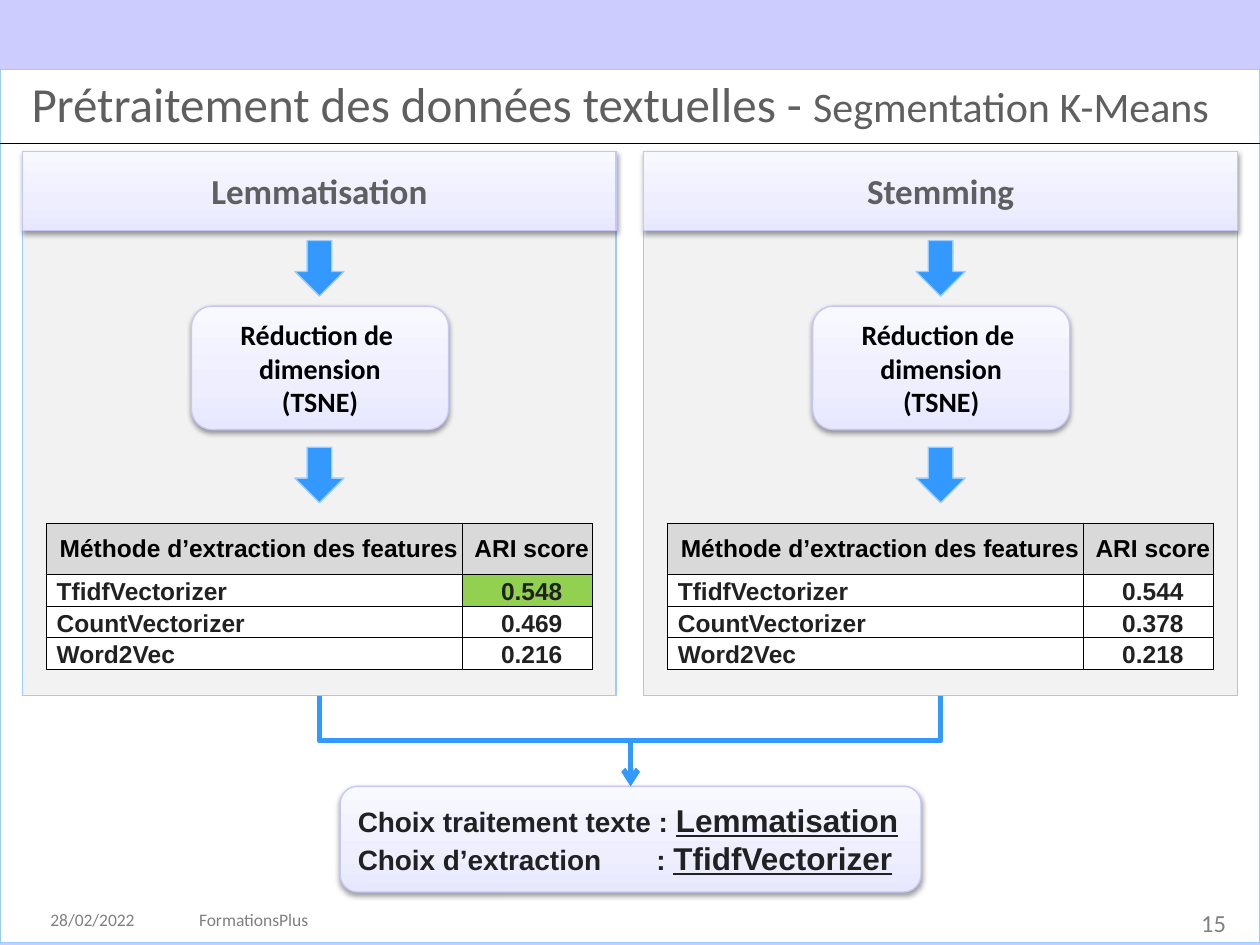
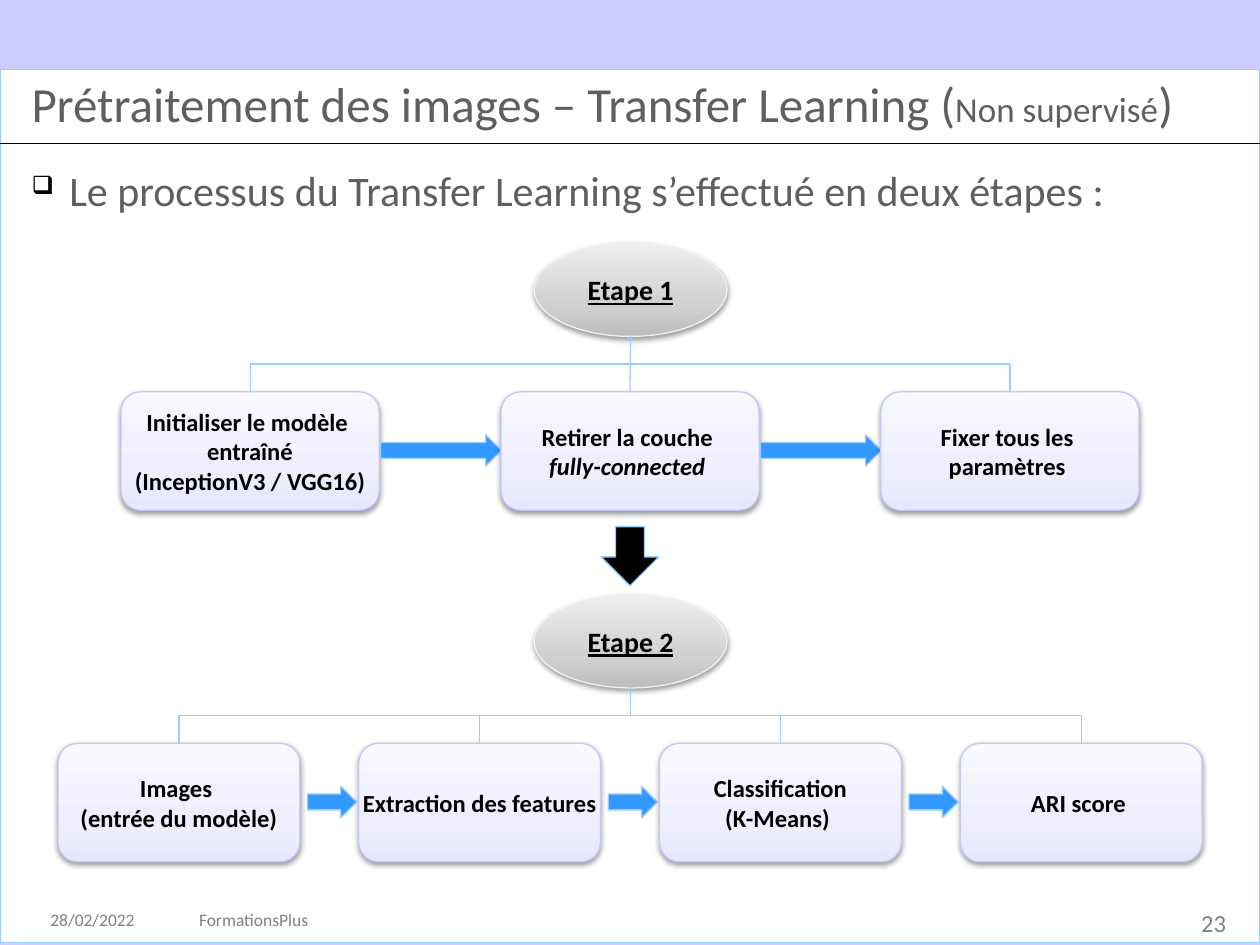
from copy import deepcopy

from lxml import etree
from pptx import Presentation
from pptx.dml.color import RGBColor
from pptx.enum.shapes import MSO_CONNECTOR as Link, MSO_SHAPE as Kind
from pptx.enum.text import MSO_ANCHOR as Anchor, PP_ALIGN as Align
from pptx.oxml.ns import qn
from pptx.util import Inches, Pt

COLORS = {
    "background": "CCCCFF", "white": "FFFFFF", "black": "000000",
    "blue": "3399FF", "light_blue": "99CCFF", "lavender": "C6C6FB",
    "panel": "F2F2F2", "header": "D9D9D9", "best": "92D050",
    "heading": "5F5F5F", "footer": "808080", "ink": "212121",
}
RGB = {name: RGBColor.from_string(value) for name, value in COLORS.items()}
LAVENDER_FADE = ("E7E7FF", "EEEEFF", "F8F8FF")
GREY_FADE = ("BDBDBD", "D1D1D1", "EEEEEE")


def write_text(shape, lines, size, color, font="Calibri", bold=False,
               align=Align.CENTER, anchor=Anchor.MIDDLE, wrap=False):
    """Fill a shape or cell; a line is a string or a list of (text, size) runs."""
    frame = shape.text_frame
    frame.word_wrap = wrap
    frame.vertical_anchor = anchor
    for index, line in enumerate(lines):
        paragraph = frame.add_paragraph() if index else frame.paragraphs[0]
        paragraph.alignment = align
        pieces = [(line, size)] if isinstance(line, str) else line
        for text, run_size in pieces:
            run = paragraph.add_run()
            run.text = text
            run.font.name = font
            run.font.size = Pt(run_size)
            run.font.bold = bold
            run.font.color.rgb = RGB[color]
    return frame


def add_block(slide, kind, box, fill, line):
    """Add a preset shape; a tuple as fill gives a gradient with a soft shadow."""
    shape = slide.shapes.add_shape(kind, *map(Inches, box))
    shape.shadow.inherit = False
    if isinstance(fill, tuple):
        shape.fill.gradient()
        shape.fill.gradient_angle = 90
        properties = shape._element.spPr
        stop_list = properties.find(".//" + qn("a:gsLst"))
        stop_list.append(deepcopy(stop_list[-1]))
        for stop, position, value in zip(shape.fill.gradient_stops, (0, 0.35, 1), fill):
            stop.position = position
            stop.color.rgb = RGBColor.from_string(value)
        shadow = etree.SubElement(properties.find(qn("a:effectLst")), qn("a:outerShdw"),
                                  blurRad="40000", dist="20000", dir="5400000", rotWithShape="0")
        shade = etree.SubElement(shadow, qn("a:srgbClr"), val=COLORS["black"])
        etree.SubElement(shade, qn("a:alpha"), val="38000")
    else:
        shape.fill.solid()
        shape.fill.fore_color.rgb = RGB[fill]
    shape.line.color.rgb = RGB[line]
    shape.line.width = Pt(0.75)
    return shape


presentation = Presentation()
presentation.slide_width = Inches(10)
presentation.slide_height = Inches(7.5)

# Shared frame: page, title, rule and footers
titles = [
    ([("Prétraitement des données textuelles - ", 28), ("Segmentation K-Means", 24)], "15"),
    ([("Prétraitement des images – Transfer Learning (", 28), ("Non supervisé", 20), (")", 28)], "23"),
]
slides = []
connectors = []
for title, number in titles:
    slide = presentation.slides.add_slide(presentation.slide_layouts[6])
    slides.append(slide)
    slide.background.fill.solid()
    slide.background.fill.fore_color.rgb = RGB["background"]
    add_block(slide, Kind.RECTANGLE, (0, 0.55, 10, 6.93), "white", "light_blue")
    rule = slide.shapes.add_connector(Link.STRAIGHT, 0, Inches(1.14), Inches(10), Inches(1.14))
    connectors.append((rule, "black", 0.75))

    texts = [
        ((0.25, 0.67, 9.75, 0.38), title, 28, "heading", Align.LEFT, Anchor.BOTTOM, 0.8),
        ((0.4, 7.23, 0.68, 0.15), "28/02/2022", 10, "footer", Align.LEFT, Anchor.TOP, 0.9),
        ((1.58, 7.23, 1.02, 0.15), "FormationsPlus", 10, "footer", Align.LEFT, Anchor.TOP, 0.9),
        ((9.38, 7.23, 0.35, 0.21), number, 14, "footer", Align.RIGHT, Anchor.TOP, 0.9),
    ]
    if slide is slides[-1] and number == "23":
        texts.append(((0.25, 1.38, 9.55, 0.33),
                      "Le processus du Transfer Learning s’effectué en deux étapes :",
                      24, "heading", Align.LEFT, Anchor.TOP, 0.8))
    for box, line, size, color, align, anchor, spacing in texts:
        text_box = slide.shapes.add_textbox(*map(Inches, box))
        frame = write_text(text_box, [line], size, color, align=align, anchor=anchor, wrap=True)
        frame.margin_left = frame.margin_right = frame.margin_top = frame.margin_bottom = 0
        frame.paragraphs[0].line_spacing = spacing

text_slide, image_slide = slides

# Square bullet of the introduction, the last text written
bullet = frame.paragraphs[0]._p.get_or_add_pPr()
bullet.set("marL", str(Inches(0.3)))
bullet.set("indent", str(Inches(-0.3)))
bullet_color = etree.SubElement(bullet, qn("a:buClr"))
etree.SubElement(bullet_color, qn("a:srgbClr"), val=COLORS["black"])
etree.SubElement(bullet, qn("a:buSzPct"), val="60000")
etree.SubElement(bullet, qn("a:buChar"), char="❑")

# Text slide: one panel for each treatment
links = []
panels = []
methods = ("TfidfVectorizer", "CountVectorizer", "Word2Vec")
treatments = [("Lemmatisation", ("0.548", "0.469", "0.216")),
              ("Stemming", ("0.544", "0.378", "0.218"))]
for index, (treatment, scores) in enumerate(treatments):
    left = 0.18 + 4.93 * index
    panels.append(add_block(text_slide, Kind.RECTANGLE, (left, 1.2, 4.71, 4.32), "panel", "light_blue"))
    heading = add_block(text_slide, Kind.RECTANGLE, (left, 1.2, 4.71, 0.63), LAVENDER_FADE, "lavender")
    write_text(heading, [treatment], 20, "heading", bold=True)
    for top in (1.91, 3.55):
        add_block(text_slide, Kind.DOWN_ARROW, (left + 2.16, top, 0.39, 0.44), "blue", "light_blue")
    reduction = add_block(text_slide, Kind.ROUNDED_RECTANGLE, (left + 1.34, 2.43, 2.04, 0.98),
                          LAVENDER_FADE, "lavender")
    write_text(reduction, ["Réduction de ", "dimension", "(TSNE)"], 16, "black", bold=True)

    # Score table
    rows = [("Méthode d’extraction des features", "ARI score"), *zip(methods, scores)]
    table = text_slide.shapes.add_table(4, 2, Inches(left + 0.19), Inches(4.15),
                                        Inches(4.33), Inches(1.16)).table
    for column, width in zip(table.columns, (3.3, 1.03)):
        column.width = Inches(width)
    for row_index, row in enumerate(rows):
        is_header = row_index == 0
        table.rows[row_index].height = Inches(0.41 if is_header else 0.25)
        for column_index, value in enumerate(row):
            cell = table.cell(row_index, column_index)
            cell.margin_left = Inches(0.08)
            cell.margin_right = cell.margin_top = Inches(0.01)
            cell.margin_bottom = 0
            write_text(cell, [value], 14, "black" if is_header else "ink", "Arial", True,
                       Align.CENTER if is_header or column_index else Align.LEFT)
            cell.vertical_anchor = Anchor.MIDDLE if is_header else Anchor.BOTTOM
            for side in ("a:lnL", "a:lnR", "a:lnT", "a:lnB"):
                border = etree.SubElement(cell._tc.get_or_add_tcPr(), qn(side), w=str(Pt(0.5)))
                border_fill = etree.SubElement(border, qn("a:solidFill"))
                etree.SubElement(border_fill, qn("a:srgbClr"), val=COLORS["black"])
            cell.fill.solid()
            shade = "header" if is_header else "best" if value == "0.548" else "white"
            cell.fill.fore_color.rgb = RGB[shade]

# Text slide: conclusion
choice = add_block(text_slide, Kind.ROUNDED_RECTANGLE, (2.7, 6.24, 4.61, 0.84), LAVENDER_FADE, "lavender")
frame = write_text(choice, [[("Choix traitement texte : ", 16), ("Lemmatisation", 18)],
                            [("Choix d’extraction\t: ", 16), ("TfidfVectorizer", 18)]],
                   16, "ink", "Arial", True, Align.LEFT)
for paragraph in frame.paragraphs:
    paragraph.runs[1].font.underline = True
tab_list = etree.SubElement(frame.paragraphs[1]._p.get_or_add_pPr(), qn("a:tabLst"))
etree.SubElement(tab_list, qn("a:tab"), pos=str(Inches(2.37)), algn="l")
for panel in panels:
    links.append((text_slide, panel, choice, "blue", 3))

# Image slide: two steps, each an ellipse above a row of boxes
steps = [
    ("Etape 1", 1.93, 0.96, 3.015, 2.05, 0.01, 0.96,
     [["Initialiser le modèle ", "entraîné", "(InceptionV3 / VGG16)"],
      ["Retirer la couche ", "fully-connected "],
      ["Fixer tous les ", "paramètres "]]),
    ("Etape 2", 4.72, 0.46, 2.387, 1.92, 0.06, 0.39,
     [["Images ", "(entrée du modèle)"], ["Extraction des features"],
      ["Classification", "(K-Means) "], ["ARI score "]]),
]
for name, top, first_left, pitch, width, gap, arrow_width, boxes in steps:
    step = add_block(image_slide, Kind.OVAL, (4.24, top, 1.53, 0.74), GREY_FADE, "panel")
    frame = write_text(step, [name], 16, "black", bold=True)
    frame.paragraphs[0].runs[0].font.underline = True
    for index, lines in enumerate(boxes):
        left = first_left + pitch * index
        box = add_block(image_slide, Kind.ROUNDED_RECTANGLE, (left, top + 1.18, width, 0.94),
                        LAVENDER_FADE, "lavender")
        frame = write_text(box, lines, 14, "black", bold=True)
        for paragraph in frame.paragraphs:
            paragraph.runs[0].font.italic = paragraph.text.startswith("fully")
        links.append((image_slide, step, box, "light_blue", 0.75))
        if index < len(boxes) - 1:
            add_block(image_slide, Kind.RIGHT_ARROW,
                      (left + width + gap, top + 1.52, arrow_width, 0.25), "blue", "light_blue")
add_block(image_slide, Kind.DOWN_ARROW, (4.77, 4.18, 0.46, 0.47), "black", "light_blue")

# Links from the bottom of a source to the top of a target
for slide, source, target, color, weight in links:
    start_x = source.left + source.width // 2
    start_y = source.top + source.height
    end_x = target.left + target.width // 2
    straight = abs(end_x - start_x) < Inches(0.03)
    connector = slide.shapes.add_connector(Link.STRAIGHT if straight else Link.ELBOW,
                                           start_x, start_y, end_x, target.top)
    if source.auto_shape_type == Kind.RECTANGLE:
        connector.begin_connect(source, 2)
    connector.end_connect(target, 0)
    if not straight:
        # A quarter turn makes the elbow leave and arrive vertically
        drop, reach = target.top - start_y, abs(end_x - start_x)
        connector.left = (start_x + end_x - drop) // 2
        connector.top = (start_y + target.top - reach) // 2
        connector.width, connector.height = drop, reach
        transform = connector._element.spPr.find(qn("a:xfrm"))
        to_right = end_x > start_x
        transform.set("rot", "16200000" if to_right else "5400000")
        transform.set("flipH", "1" if to_right else "0")
        transform.set("flipV", "0")
    connectors.append((connector, color, weight))

# Line style of every connector
for connector, color, weight in connectors:
    connector.line.color.rgb = RGB[color]
    connector.line.width = Pt(weight)
    if weight == 3:
        etree.SubElement(connector.line._get_or_add_ln(), qn("a:tailEnd"), type="arrow")
    etree.SubElement(connector._element.spPr, qn("a:effectLst"))

presentation.save("out.pptx")
